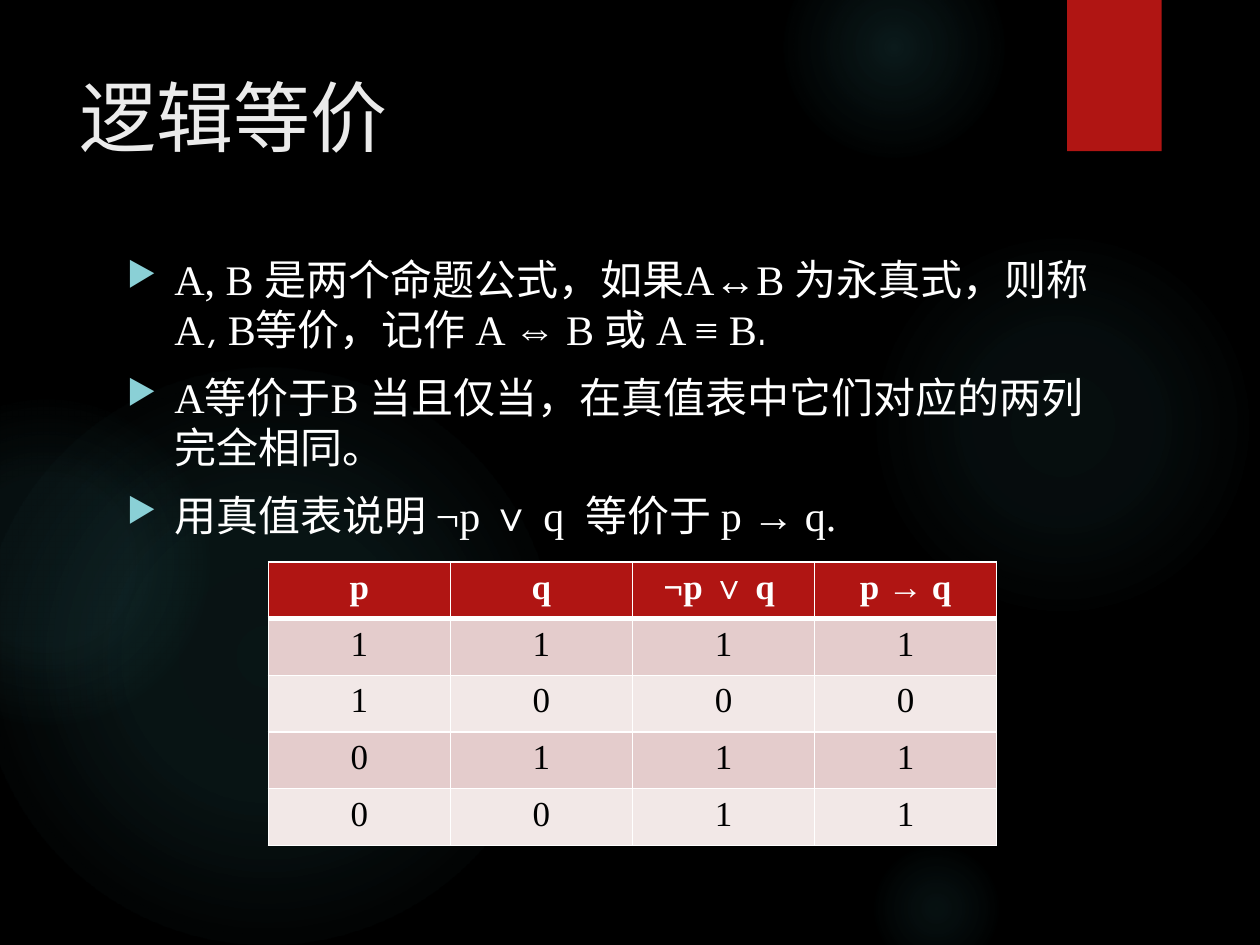
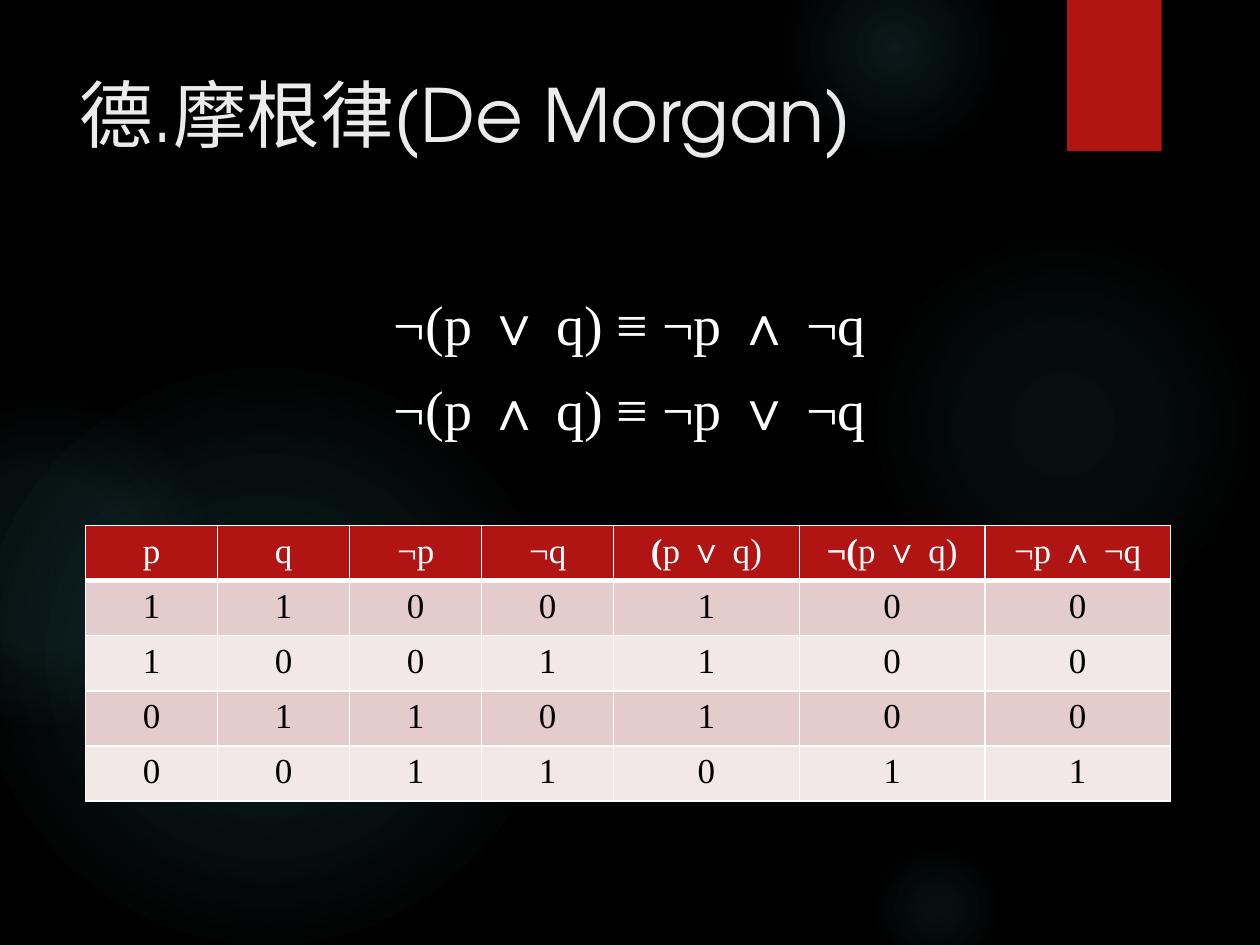
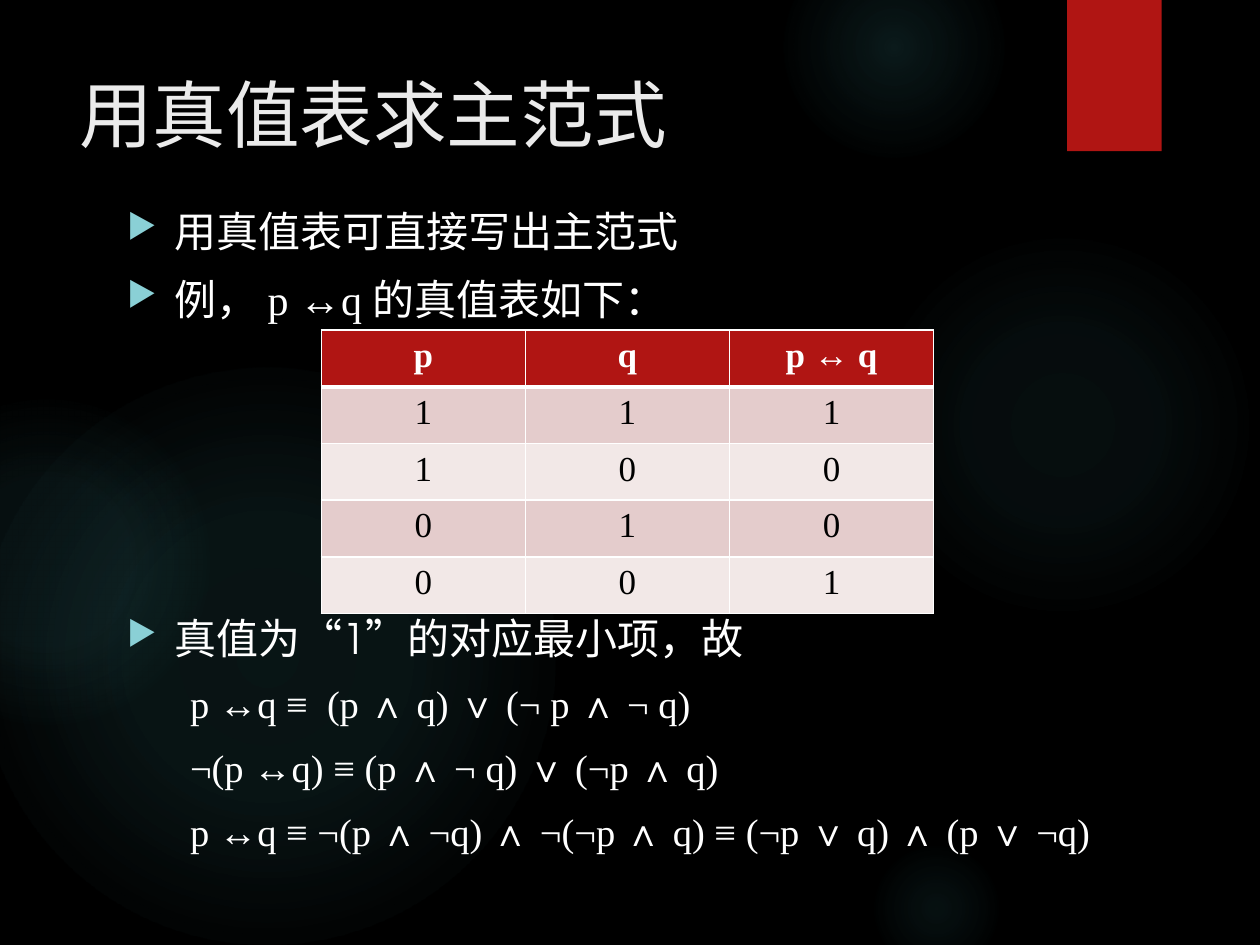
import itertools

import lxml.etree
import pptx
import pptx.dml.color
import pptx.enum.shapes
import pptx.enum.text
import pptx.oxml
import pptx.oxml.ns
import pptx.util

# The page is a grid of 100 columns by 75 rows.
COLUMNS, ROWS = 100, 75
PAGE_WIDTH, PAGE_HEIGHT = pptx.util.Inches(10), pptx.util.Inches(7.5)

BLACK, WHITE, TITLE_GREY = "000000", "FFFFFF", "EBEBEB"
RED, TEAL, BULLET_TEAL = "B01513", "50B9C1", "8AD0D6"
BAND_DARK, BAND_LIGHT = "E4CCCC", "F2E8E7"
PROSE_FONT, FORMULA_FONT = "TeX Gyre Adventor", "Times New Roman"
BULLET_HANG = 3.75
SUBLEVEL_INDENT = 5

# Left, top, diameter, then (position, opacity) stops in percent.
GLOWS = [
    (68.9, 18.3, 30.8, [(0, 7), (36, 6), (69, 0)]),
    (62.2, -5, 17.5, [(0, 14), (36, 7), (73, 0)]),
    (68.9, 66.7, 10.8, [(0, 9), (36, 5), (66, 0)]),
    (-1.7, 29.2, 45.8, [(0, 11), (36, 10), (75, 0)]),
    (-9.2, 31.7, 25.8, [(0, 8), (36, 8), (72, 0)]),
]


def columns(count):
    return round(PAGE_WIDTH * count / COLUMNS)


def rows(count):
    return round(PAGE_HEIGHT * count / ROWS)


def area(left, top, width, height):
    return columns(left), rows(top), columns(width), rows(height)


def colour(code):
    return pptx.dml.color.RGBColor.from_string(code)


def drawing_xml(markup):
    """Parse one element of the a: namespace."""
    tag, rest = markup.split(" ", 1)
    return pptx.oxml.parse_xml(f"{tag} {pptx.oxml.ns.nsdecls('a')} {rest}")


def write(para, text, font=PROSE_FONT, size=24, ink=WHITE, bold=False):
    span = para.add_run()
    span.text = text
    span.font.name = font
    span.font.size = pptx.util.Pt(size)
    span.font.bold = bold
    span.font.color.rgb = colour(ink)


def write_alternating(para, text, key, choices, **style):
    """Write the parts between bars, switching one format back and forth."""
    for part, choice in zip(text.split("|"), itertools.cycle(choices)):
        if part:
            write(para, part, **{key: choice}, **style)


def add_text_box(page, place):
    box = page.shapes.add_textbox(*area(*place))
    box.text_frame.word_wrap = True
    return box.text_frame


def add_title(page, text, size=42, height=15.3):
    frame = add_text_box(page, (5.3, 5, 77.2, height))
    write(frame.paragraphs[0], text, size=size, ink=TITLE_GREY)


def add_para(frame, text, size=24, space=10, align=None):
    """Add a paragraph whose parts between bars alternate formula and prose."""
    first = frame.paragraphs[0]
    para = frame.add_paragraph() if first.runs else first
    para.space_before = pptx.util.Pt(space)
    para.alignment = align
    write_alternating(para, text, "font", (FORMULA_FONT, PROSE_FONT), size=size)
    return para


def add_bullet(frame, text, space=10):
    properties = add_para(frame, text, space=space)._p.get_or_add_pPr()
    properties.set("marL", str(columns(BULLET_HANG)))
    properties.set("indent", str(-columns(BULLET_HANG)))
    for markup in (
        f'<a:buClr ><a:srgbClr val="{BULLET_TEAL}"/></a:buClr>',
        '<a:buSzPct val="80000"/>',
        '<a:buChar char="▶"/>',
    ):
        properties.append(drawing_xml(markup))


def add_sublevel(frame, text):
    para = add_para(frame, text, size=22)
    para.level = 1
    para._p.get_or_add_pPr().set("marL", str(columns(SUBLEVEL_INDENT)))


def add_glow(page, left, top, diameter, stops):
    kind = pptx.enum.shapes.MSO_SHAPE.OVAL
    glow = page.shapes.add_shape(kind, *area(left, top, diameter, diameter))
    glow.shadow.inherit = False
    glow.line.fill.background()
    stop_list = "".join(
        f'<a:gs pos="{position * 1000}"><a:srgbClr val="{TEAL}">'
        f'<a:alpha val="{opacity * 1000}"/></a:srgbClr></a:gs>'
        for position, opacity in stops
    )
    gradient = drawing_xml(
        f'<a:gradFill rotWithShape="1"><a:gsLst>{stop_list}</a:gsLst><a:path path="circle">'
        '<a:fillToRect l="50000" t="50000" r="50000" b="50000"/></a:path></a:gradFill>'
    )
    glow._element.spPr.find(pptx.oxml.ns.qn("a:prstGeom")).addnext(gradient)


def add_ribbon(page):
    kind = pptx.enum.shapes.MSO_SHAPE.RECTANGLE
    ribbon = page.shapes.add_shape(kind, *area(84.7, 0, 7.5, 12))
    ribbon.fill.solid()
    ribbon.fill.fore_color.rgb = colour(RED)
    ribbon.line.fill.background()
    ribbon.shadow.inherit = False
    effects = ribbon._element.spPr.find(pptx.oxml.ns.qn("a:effectLst"))
    effects.append(drawing_xml(
        f'<a:outerShdw blurRad="{pptx.util.Pt(3)}" dist="{pptx.util.Pt(2)}" dir="5400000">'
        f'<a:srgbClr val="{BLACK}"><a:alpha val="45000"/></a:srgbClr></a:outerShdw>'
    ))


def add_page(deck):
    page = deck.slides.add_slide(deck.slide_layouts[6])
    page.background.fill.solid()
    page.background.fill.fore_color.rgb = colour(BLACK)
    for glow in GLOWS:
        add_glow(page, *glow)
    add_ribbon(page)
    return page


def style_cell(cell, fill, top=1, bottom=1):
    """Give the cell white borders and a plain fill."""
    properties = cell._tc.get_or_add_tcPr()
    for side, weight in (("L", 1), ("R", 1), ("T", top), ("B", bottom)):
        properties.append(drawing_xml(
            f'<a:ln{side} w="{pptx.util.Pt(weight)}"><a:solidFill>'
            f'<a:srgbClr val="{WHITE}"/></a:solidFill></a:ln{side}>'
        ))
    cell.fill.solid()
    cell.fill.fore_color.rgb = colour(fill)


def add_truth_table(page, left, top, widths, row_height, header, values, bold=True):
    """Draw a truth table; a bar in a heading switches bold on or off."""
    lines = [header, *values]
    place = area(left, top, sum(widths), row_height * len(lines))
    table = page.shapes.add_table(len(lines), len(widths), *place).table
    table.horz_banding = False
    for column, width in zip(table.columns, widths):
        column.width = columns(width)
    for row_index, line in enumerate(lines):
        table.rows[row_index].height = rows(row_height)
        for column_index, text in enumerate(line):
            cell = table.cell(row_index, column_index)
            para = cell.text_frame.paragraphs[0]
            para.alignment = pptx.enum.text.PP_ALIGN.CENTER
            style = {"font": FORMULA_FONT, "size": 20}
            if row_index == 0:
                style_cell(cell, RED, bottom=3)
                write_alternating(para, text, "bold", (bold, not bold), **style)
            else:
                band = BAND_DARK if row_index % 2 else BAND_LIGHT
                style_cell(cell, band, top=3 if row_index == 1 else 1)
                write(para, text, ink=BLACK, **style)


def add_equivalence_page(deck):
    page = add_page(deck)
    add_title(page, "逻辑等价", size=44, height=11.7)
    body = add_text_box(page, (9.1, 19.6, 80.4, 48.8))
    add_bullet(body, "A, B 是两个|命题公式|，|如果|A↔B |为永真式，则称|A|, |B|等价，记作 "
                     "|A ⇔ B |或 |A ≡ B|.")
    add_bullet(body, "A|等价于|B |当且仅当，在真值表中它们对应的两列完全相同。")
    add_bullet(body, "|用真值表说明 |¬p ∨ q  |等价于 |p → q.")
    add_truth_table(page, 21.3, 44.6, [14.45] * 4, 4.5,
                    ["p", "q", "¬p ∨ q ", "p → q"],
                    ["1111", "1000", "0111", "0011"])


def add_de_morgan_page(deck):
    page = add_page(deck)
    add_title(page, "德.摩根律(De Morgan)")
    body = add_text_box(page, (9.1, 22.5, 81.8, 45.9))
    for law in ("¬(p ∨ q) ≡ ¬p ∧ ¬q", "¬(p ∧ q) ≡ ¬p ∨ ¬q"):
        add_para(body, law, size=32, align=pptx.enum.text.PP_ALIGN.CENTER)
    add_truth_table(page, 6.8, 41.7, [10.48] * 4 + [14.73] * 3, 4.38,
                    ["p", "q", "¬p", "¬q", "|(|p ∨ q)", "|¬(|p ∨ q)", "¬p ∧ ¬q"],
                    ["1100100", "1001100", "0110100", "0011011"], bold=False)


def add_normal_form_page(deck):
    page = add_page(deck)
    add_title(page, "用真值表求主范式")
    body = add_text_box(page, (9.1, 15.8, 81.5, 52.5))
    add_bullet(body, "|用真值表可直接写出主范式")
    add_bullet(body, "|例， |p ↔q |的真值表如下：")
    add_bullet(body, "|真值为“1”的对应最小项，故", space=165)
    for formula in (
        "p ↔q ≡  (p ∧ q) ∨ (¬ p ∧ ¬ q)",
        "¬(p ↔q) ≡ (p ∧ ¬ q) ∨ (¬p ∧ q)",
        "p ↔q ≡ ¬(p ∧ ¬q) ∧ ¬(¬p ∧ q) ≡ (¬p ∨ q) ∧ (p ∨ ¬q)",
    ):
        add_sublevel(body, formula)
    add_truth_table(page, 25.5, 26.2, [16.2] * 3, 4.5,
                    ["p", "q", "p |↔ |q"], ["111", "100", "010", "001"])


def main():
    deck = pptx.Presentation()
    deck.slide_width, deck.slide_height = PAGE_WIDTH, PAGE_HEIGHT
    add_equivalence_page(deck)
    add_de_morgan_page(deck)
    add_normal_form_page(deck)
    deck.save("out.pptx")


if __name__ == "__main__":
    main()
